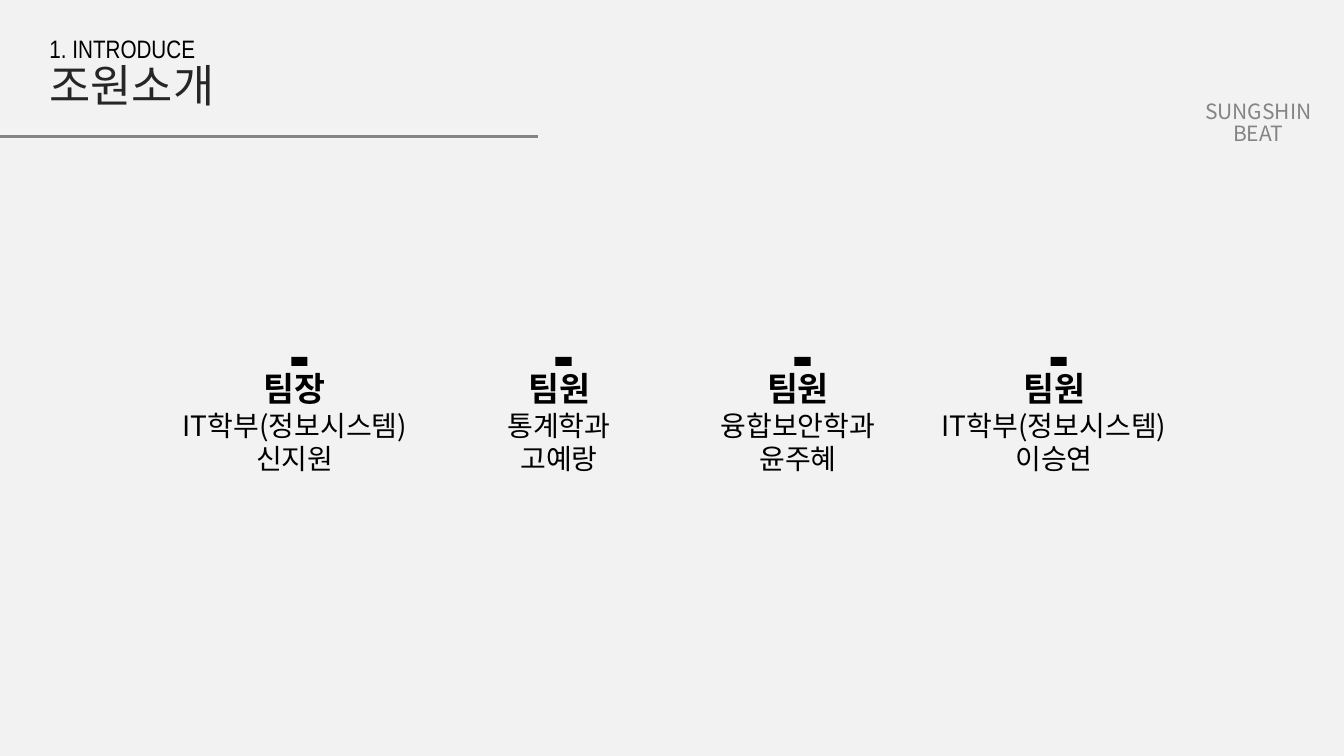
from lxml import etree
from pptx import Presentation
from pptx.dml.color import RGBColor
from pptx.enum import shapes, text
from pptx.oxml import ns
from pptx.util import Inches, Pt

SECTION, TITLE = "1. INTRODUCE", "조원소개"
TEAM_NAME = "SUNGSHIN BEAT"
MEMBERS = [  # left edge, role, department, name
    (1.31, "팀장", "IT학부(정보시스템)", "신지원"),
    (3.93, "팀원", "통계학과", "고예랑"),
    (6.3, "팀원", "융합보안학과", "윤주혜"),
    (8.84, "팀원", "IT학부(정보시스템)", "이승연"),
]
KOREAN, NARROW = "Noto Sans CJK KR", "Arial Narrow"
BLACK, DARK, GRAY, PALE = "000000", "262626", "858383", "F2F2F2"
CARD_TOP, CARD_WIDTH, CARD_HEIGHT = 3.52, 3.23, 1.26
MARK_WIDTH, MARK_HEIGHT = 0.16, 0.09


def color(value):
    return RGBColor.from_string(value)


def set_font(font, name, size, value, bold=False):
    """Format a font, using the same typeface for Latin and Korean text."""
    font.size, font.bold = Pt(size), bold
    font.color.rgb = color(value)
    font.name = name
    latin = font._element.find(ns.qn("a:latin"))
    east_asian = etree.Element(ns.qn("a:ea"), typeface=name)
    latin.addnext(east_asian)


def add_text(shape_tree, box, lines, line_spacing=None, margin_top=0.05):
    """Add centred lines given as (text, size, color, bold)."""
    textbox = shape_tree.add_textbox(*map(Inches, box))
    frame = textbox.text_frame
    frame.word_wrap = True
    frame.margin_top = Inches(margin_top)
    for index, (words, size, value, bold) in enumerate(lines):
        paragraph = frame.add_paragraph() if index else frame.paragraphs[0]
        paragraph.text = words
        paragraph.alignment = text.PP_ALIGN.CENTER
        paragraph.line_spacing = line_spacing
        for run in paragraph.runs:
            set_font(run.font, KOREAN, size, value, bold)


def add_title(slide):
    title = slide.shapes.title
    title.left, title.top = Inches(0.39), Inches(0.26)
    title.width, title.height = Inches(8.61), Inches(0.95)
    frame = title.text_frame
    frame.auto_size = text.MSO_AUTO_SIZE.NONE
    frame.vertical_anchor = text.MSO_ANCHOR.MIDDLE
    paragraph = frame.paragraphs[0]
    paragraph.text = f"{SECTION}\v{TITLE}"
    paragraph.alignment = text.PP_ALIGN.LEFT
    paragraph.line_spacing = 0.9
    section, heading = paragraph.runs
    set_font(section.font, NARROW, 18, BLACK)
    set_font(heading.font, KOREAN, 32, DARK)


def add_rule(slide):
    rule = slide.shapes.add_connector(
        shapes.MSO_CONNECTOR.STRAIGHT, 0, Inches(1.35), Inches(5.34), Inches(1.35))
    rule.line.color.rgb = color(GRAY)
    rule.line.width = Pt(2.25)
    etree.SubElement(rule._element.spPr, ns.qn("a:effectLst"))


def add_member(slide, left, role, department, name):
    group = slide.shapes.add_group_shape()
    add_text(group.shapes, (left, CARD_TOP, CARD_WIDTH, CARD_HEIGHT),
             [(role, 24, BLACK, True), (department, 20, BLACK, False),
              (name, 20, BLACK, False)], margin_top=0.13)
    mark_left = left + CARD_WIDTH / 2 - 0.035
    mark = group.shapes.add_shape(
        shapes.MSO_SHAPE.RECTANGLE, Inches(mark_left), Inches(CARD_TOP + 0.02),
        Inches(MARK_WIDTH), Inches(MARK_HEIGHT))
    mark.fill.solid()
    mark.fill.fore_color.rgb = color(BLACK)
    mark.line.fill.background()
    mark.shadow.inherit = False


def main():
    presentation = Presentation()
    presentation.slide_width, presentation.slide_height = Inches(13.33), Inches(7.5)
    slide = presentation.slides.add_slide(presentation.slide_layouts[5])
    slide.background.fill.solid()
    slide.background.fill.fore_color.rgb = color(PALE)
    add_title(slide)
    add_rule(slide)
    add_text(slide.shapes, (11.63, 0.97, 1.7, 0.53),
             [(TEAM_NAME, 15, GRAY, False)], line_spacing=0.85)
    for member in MEMBERS:
        add_member(slide, *member)
    presentation.save("out.pptx")


if __name__ == "__main__":
    main()
